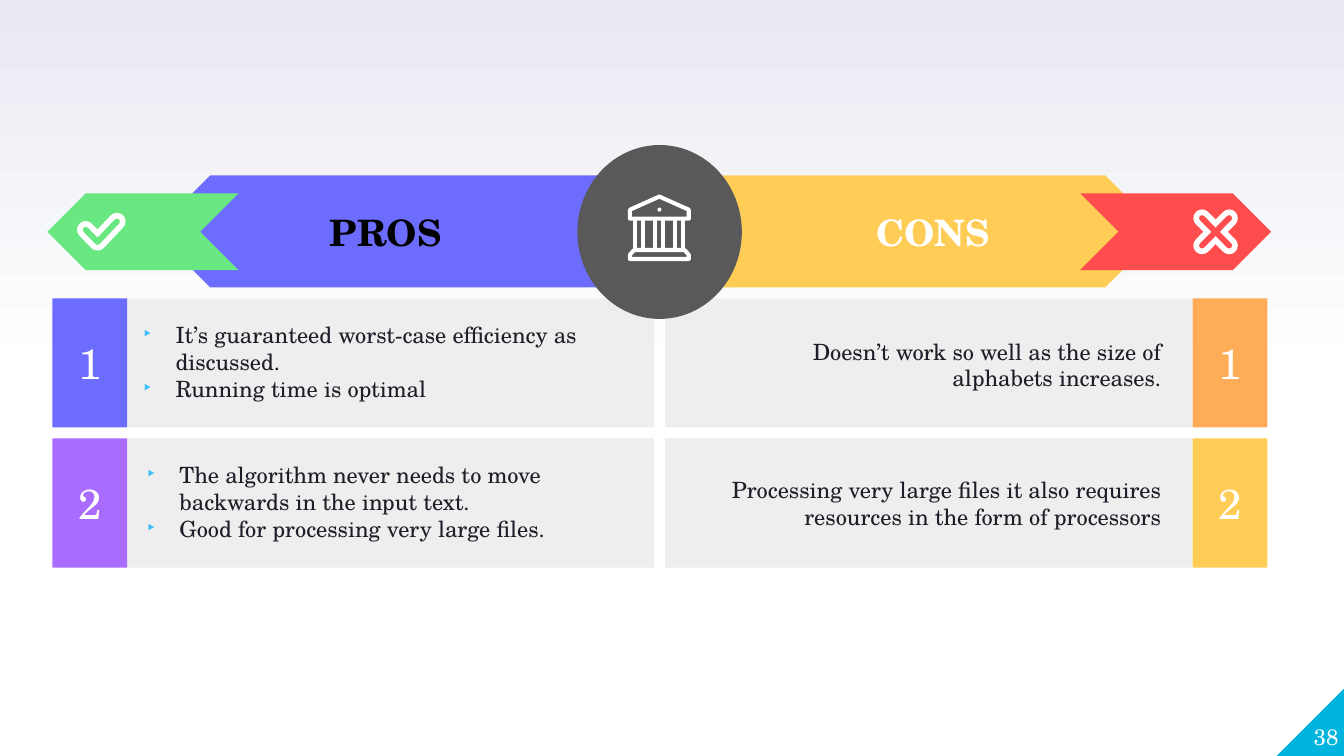
"""Pros and cons slide: two arrow banners above numbered cards."""
from lxml.etree import SubElement
from pptx import Presentation
from pptx.dml.color import RGBColor
from pptx.enum.shapes import MSO_CONNECTOR, MSO_SHAPE as SHAPE
from pptx.enum.text import MSO_ANCHOR as ANCHOR, PP_ALIGN as ALIGN
from pptx.oxml.ns import qn
from pptx.util import Pt

FONT = "TeX Gyre Schola"
WHITE, INK, CARD, HUB = "FFFFFF", "1D1F28", "EEEEEE", "595959"
GREEN, RED, BLUE, YELLOW = "69E781", "FF4D4E", "6C6CFF", "FFCD55"
BULLET = {"char": "▶", "color": "3CBEFF", "size": "35000", "indent": 22.5}
PAGE = "38"

BANNERS = [
    (SHAPE.PENTAGON, (110.2, 125.3, 358.6, 79.9), BLUE, True),
    (SHAPE.CHEVRON, (33.9, 138.2, 136.4, 54.7), GREEN, True),
    (SHAPE.PENTAGON, (468, 125.3, 361.5, 79.9), YELLOW, False),
    (SHAPE.CHEVRON, (771.6, 138.2, 136.4, 54.7), RED, False),
    (SHAPE.OVAL, (412.4, 103.6, 117.5, 124.2), HUB, False),
]
HEADINGS = [("PROS", 173.5, "000000"), ("CONS", 564.5, WHITE)]
PROS = [
    (BLUE, (95.8, 218.2),
     ["It’s guaranteed worst-case efficiency as discussed.", "Running time is optimal"]),
    ("AA6CFF", (98.6, 318.2),
     ["The algorithm never needs to move backwards in the input text.",
      "Good for processing very large files."]),
]
CONS = [
    ("FFAC59", (505.4, 220.4), ["Doesn’t work so well as the size of alphabets increases."]),
    (YELLOW, (505.4, 319.3),
     ["Processing very large files it also requires resources in the form of processors"]),
]
SIDES = [(PROS, 90.7, 37.4, True), (CONS, 475.2, 851.8, False)]
CARD_TOP, CARD_PITCH, CARD_WIDTH, CARD_HEIGHT, TAB_WIDTH = 213.1, 100.1, 376.6, 92.2, 53.5
TEXT_SIZE = (331.2, 80)

ROOF = [(471, 140.4), (492, 149.8), (492, 156.2), (450, 156.2), (450, 149.8)]
BASE = [(450, 185), (450, 182), (453, 178.6), (489, 178.6), (492, 182), (492, 185)]
COLUMNS = [[(x, 157), (x, 178)] for pair in range(3)
           for x in (453.6 + 14.4 * pair, 459.4 + 14.4 * pair)]
TICK = [(61.2, 164.1), (69.7, 172.8), (83.5, 158.2)]
CROSS = [[(858.6, 155.8), (878, 175.4)], [(858.6, 175.4), (878, 155.8)]]
RIM, CORE, THIN = 12.4, 4.2, 2.9

prs = Presentation()
prs.slide_width, prs.slide_height = Pt(960), Pt(540)
slide = prs.slides.add_slide(prs.slide_layouts[6])
shapes = slide.shapes


def rgb(value):
    return RGBColor.from_string(value)


def write(holder, lines, size, color, align, anchor=ANCHOR.MIDDLE, inset=7.2, bold=False,
          bulleted=False):
    frame = holder.text_frame
    settings = {"word_wrap": True, "vertical_anchor": anchor}
    settings.update({f"margin_{side}": Pt(inset) for side in ("left", "right", "top", "bottom")})
    for name, value in settings.items():
        setattr(frame, name, value)
    for index, line in enumerate(lines):
        paragraph = frame.add_paragraph() if index else frame.paragraphs[0]
        paragraph.text, paragraph.alignment = line, align
        if bulleted:
            add_bullet(paragraph)
        for name, value in {"name": FONT, "size": Pt(size), "bold": bold}.items():
            setattr(paragraph.font, name, value)
        paragraph.font.color.rgb = rgb(color)


def add_bullet(paragraph):
    props = paragraph._p.get_or_add_pPr()
    props.set("marL", str(Pt(BULLET["indent"])))
    props.set("indent", str(-Pt(BULLET["indent"])))
    SubElement(SubElement(props, qn("a:buClr")), qn("a:srgbClr")).set("val", BULLET["color"])
    SubElement(props, qn("a:buSzPct")).set("val", BULLET["size"])
    SubElement(props, qn("a:buChar")).set("char", BULLET["char"])


def block(kind, box, color, flipped=False):
    shape = shapes.add_shape(kind, *map(Pt, box))
    shape.shadow.inherit = False
    shape.fill.solid()
    shape.fill.fore_color.rgb = rgb(color)
    shape.line.fill.background()
    if flipped:
        shape._element.spPr.find(qn("a:xfrm")).set("flipH", "1")
    return shape


def label(box, *args, **kwargs):
    write(shapes.add_textbox(*map(Pt, box)), *args, **kwargs)


def stroke(points, color, width, closed=False):
    corners = [(Pt(x), Pt(y)) for x, y in points]
    if len(corners) == 2:
        mark = shapes.add_connector(MSO_CONNECTOR.STRAIGHT, *corners[0], *corners[1])
    else:
        outline = shapes.build_freeform(*corners[0])
        outline.add_line_segments(corners[1:], close=closed)
        mark = outline.convert_to_shape()
        mark.fill.background()
    mark.line.width = Pt(width)
    mark.line.color.rgb = rgb(color)
    props = mark._element.spPr
    line = props.find(qn("a:ln"))
    line.set("cap", "flat" if width == THIN else "rnd")
    SubElement(line, qn("a:round"))
    SubElement(props, qn("a:effectLst"))


sky = slide.background.fill
sky.gradient()
sky.gradient_angle = 90
for stop, (position, color) in zip(sky.gradient_stops, [(0.5, WHITE), (1, "E9EAF2")]):
    stop.position, stop.color.rgb = position, rgb(color)

block(SHAPE.RIGHT_TRIANGLE, (912, 491, 49, 49), "00B5DD", True)
label((907.9, 486.7, 48.2, 49), [PAGE], 16, WHITE, ALIGN.RIGHT, ANCHOR.BOTTOM, 0)

for cards, card_left, tab_left, is_pro in SIDES:
    for row, (color, text_corner, lines) in enumerate(cards):
        top = CARD_TOP + row * CARD_PITCH
        block(SHAPE.RECTANGLE, (card_left, top, CARD_WIDTH, CARD_HEIGHT), CARD)
        tab = block(SHAPE.RECTANGLE, (tab_left, top, TAB_WIDTH, CARD_HEIGHT), color)
        write(tab, [str(row + 1)], 30, WHITE, ALIGN.CENTER)
        label(text_corner + TEXT_SIZE, lines, 16, INK, ALIGN.LEFT if is_pro else ALIGN.RIGHT,
              bulleted=is_pro)

for banner in BANNERS:
    block(*banner)
for heading, left, color in HEADINGS:
    label((left, 154.1, 203.8, 23), [heading], 26, color, ALIGN.CENTER, bold=True)

stroke(ROOF, WHITE, THIN, closed=True)
stroke(BASE, WHITE, THIN, closed=True)
for column in COLUMNS:
    stroke(column, WHITE, THIN)
block(SHAPE.OVAL, (469.6, 148.3, 2.9, 2.9), WHITE)
for arms, color in [([TICK], GREEN), (CROSS, RED)]:
    for tint, width in [(WHITE, RIM), (color, CORE)]:
        for arm in arms:
            stroke(arm, tint, width)

prs.save("out.pptx")
